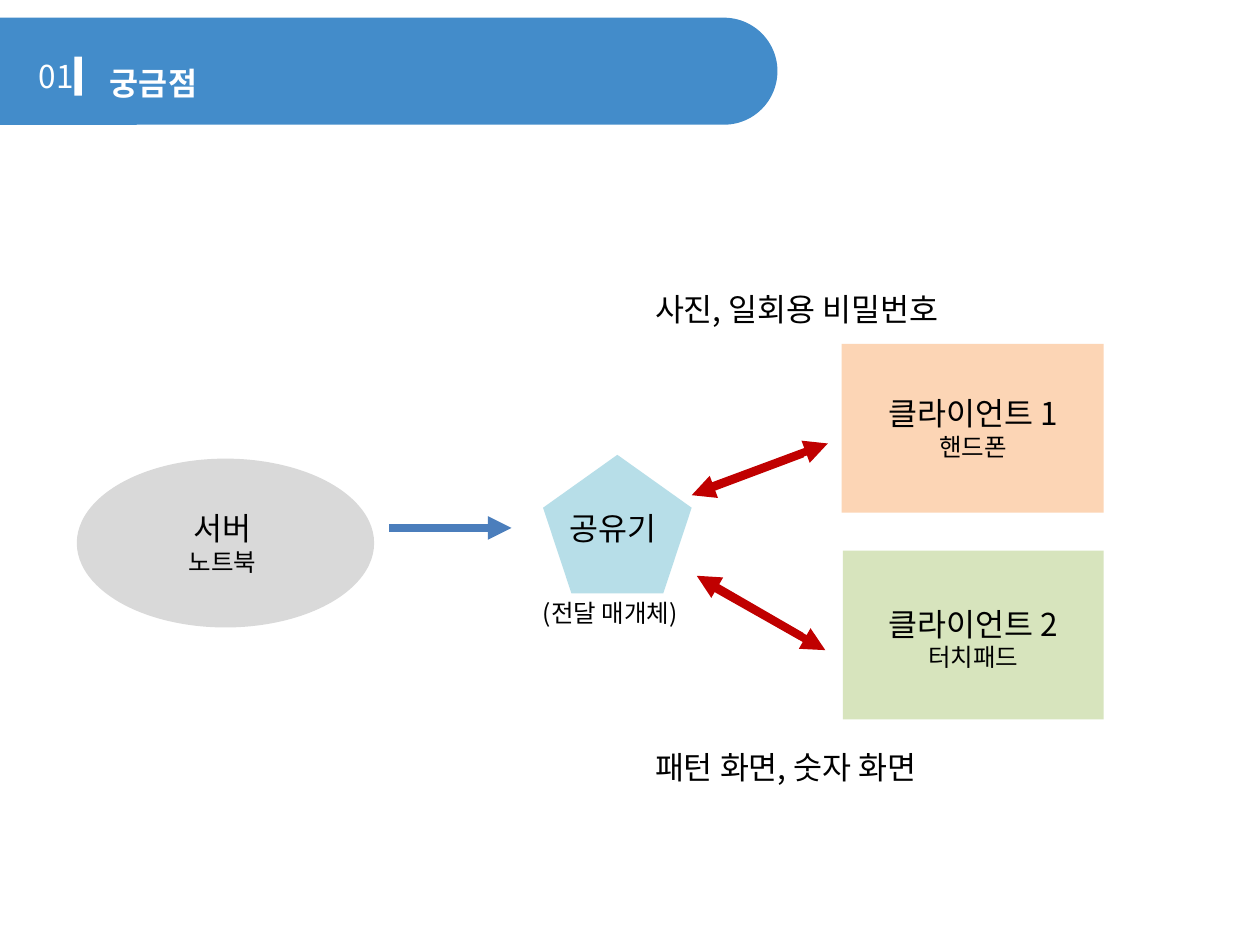
"""Build a slide on how a server reaches two clients through a router."""
from pptx import Presentation
from pptx import util as u
from pptx.dml.color import RGBColor
from pptx.enum import shapes, text
from pptx.oxml import ns, xmlchemy

WHITE = RGBColor(0xFF, 0xFF, 0xFF)
BLACK = RGBColor(0x00, 0x00, 0x00)
BAND = RGBColor(0x43, 0x8C, 0xCA)
GRAY = RGBColor(0xD9, 0xD9, 0xD9)
GREEN = RGBColor(0xD7, 0xE4, 0xBD)
PEACH = RGBColor(0xFC, 0xD5, 0xB5)
AQUA = RGBColor(0xB7, 0xDE, 0xE8)
BLUE = RGBColor(0x4B, 0x7E, 0xBC)
RED = RGBColor(0xC0, 0x00, 0x00)
KIND = shapes.MSO_SHAPE
BIG, SMALL = 18, 14


class Board:
    font = "Noto Sans CJK KR"
    width = u.Pt(4.5)

    def __init__(self, slide):
        self.slide = slide

    def shape(self, kind, box, fill):
        item = self.slide.shapes.add_shape(kind, *map(u.Inches, box))
        item.shadow.inherit = False
        item.fill.solid()
        item.fill.fore_color.rgb = fill
        item.line.fill.background()
        return item

    def label(self, box, lines, color=BLACK, center=False, wrap=False):
        frame = self.slide.shapes.add_textbox(*map(u.Inches, box)).text_frame
        frame.word_wrap = wrap
        frame.auto_size = text.MSO_AUTO_SIZE.SHAPE_TO_FIT_TEXT
        for i, (words, size) in enumerate(lines):
            para = frame.add_paragraph() if i else frame.paragraphs[0]
            if center:
                para.alignment = text.PP_ALIGN.CENTER
            self.run(para, words, size, color)
        return frame.paragraphs[0]

    def run(self, para, words, size, color):
        run = para.add_run()
        run.text = words
        run.font.size = u.Pt(size)
        run.font.name = self.font
        run.font.color.rgb = color
        east = xmlchemy.OxmlElement("a:ea")
        east.set("typeface", self.font)
        run.font._element.find(ns.qn("a:latin")).addnext(east)

    def arrow(self, start, end, color):
        line = self.slide.shapes.add_connector(
            shapes.MSO_CONNECTOR.STRAIGHT, *map(u.Inches, start + end))
        line.line.color.rgb = color
        line.line.width = self.width
        tail = xmlchemy.OxmlElement("a:tailEnd")
        tail.set("type", "triangle")
        line.line._get_or_add_ln().append(tail)
        line._element.spPr.append(xmlchemy.OxmlElement("a:effectLst"))


def header(board):
    band = board.shape(KIND.ROUND_2_SAME_RECTANGLE, (2.66, -2.52, 0.85, 6.17), BAND)
    band.rotation = 90
    band.adjustments[0] = 0.5
    band.adjustments[1] = 0
    title = board.label((0.77, 0.31, 0.97, 0.49), [("궁금점", BIG)], WHITE)
    title.line_spacing = 1.5
    font = title.runs[0].font
    font.bold = True
    font._element.set("spc", "30")
    board.shape(KIND.RECTANGLE, (0.59, 0.45, 0.06, 0.31), WHITE)
    board.label((0.21, 0.4, 0.59, 0.4), [("01", BIG)], WHITE, wrap=True)


def main():
    deck = Presentation()
    deck.slide_width, deck.slide_height = u.Inches(10), u.Inches(7.5)
    board = Board(deck.slides.add_slide(deck.slide_layouts[6]))
    header(board)

    nodes = [
        (KIND.OVAL, (0.61, 3.64, 2.36, 1.34), GRAY,
         (1.37, 3.99, 0.79, 0.64), "서버", "노트북"),
        (KIND.RECTANGLE, (6.69, 4.37, 2.07, 1.34), GREEN,
         (6.88, 4.75, 1.69, 0.64), "클라이언트 2", "터치패드"),
        (KIND.RECTANGLE, (6.68, 2.73, 2.08, 1.34), PEACH,
         (6.88, 3.08, 1.69, 0.64), "클라이언트 1", "핸드폰"),
    ]
    for kind, box, fill, spot, name, device in nodes:
        board.shape(kind, box, fill)
        board.label(spot, [(name, BIG), (device, SMALL)], center=True)

    board.shape(KIND.REGULAR_PENTAGON, (4.31, 3.61, 1.18, 1.1), AQUA)
    board.label((4.42, 3.99, 0.96, 0.4), [("공유기", BIG)])
    board.label((4.21, 4.7, 1.37, 0.34), [("(전달 매개체)", SMALL)], wrap=True)

    board.arrow((3.09, 4.19), (4.06, 4.19), BLUE)
    links = [
        ((5.6, 3.88), (6.57, 3.52)),
        ((6.37, 3.6), (5.49, 3.93)),
        ((5.63, 4.64), (6.55, 5.16)),
        ((6.36, 5.05), (5.53, 4.57)),
    ]
    for start, end in links:
        board.arrow(start, end, RED)

    board.label((5.1, 2.25, 2.71, 0.4), [("사진, 일회용 비밀번호", BIG)])
    board.label((5.1, 5.89, 2.55, 0.4), [("패턴 화면, 숫자 화면", BIG)])
    deck.save("out.pptx")


if __name__ == "__main__":
    main()
